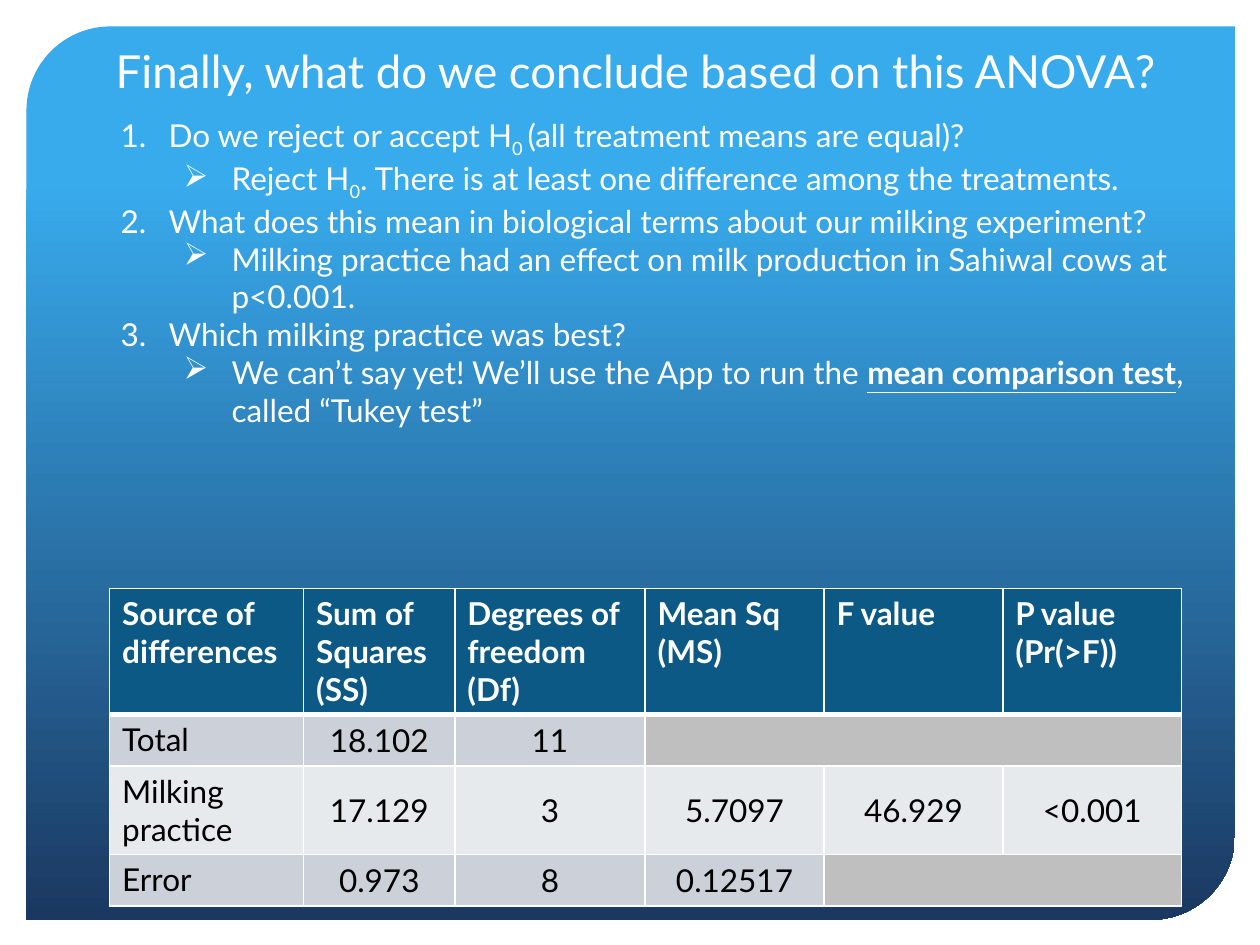
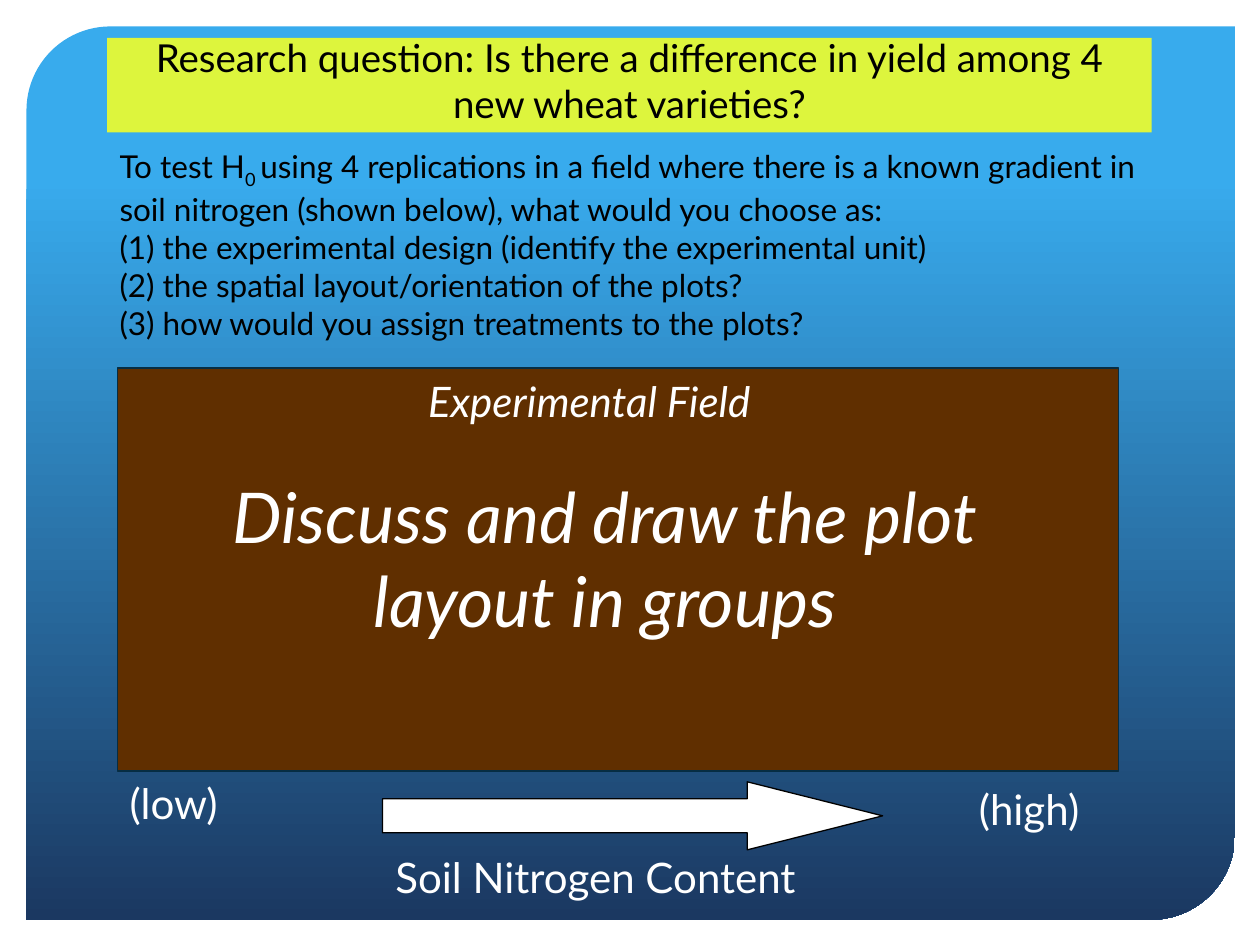
from dataclasses import dataclass
from typing import NamedTuple

from lxml.etree import SubElement
from pptx import Presentation
from pptx.dml.color import RGBColor
from pptx.enum.shapes import MSO_SHAPE
from pptx.enum.text import MSO_ANCHOR, PP_ALIGN
from pptx.oxml.ns import qn
from pptx.util import Emu, Pt

SCALE = 9144


@dataclass(frozen=True)
class Theme:
    font: str = "Lato"
    white: str = "FFFFFF"
    black: str = "000000"
    sky: str = "38ABED"
    navy: str = "1B3861"
    head: str = "0C5986"
    band: str = "CCD1D9"
    pale: str = "E7EAED"
    gray: str = "BFBFBF"
    soil: str = "602F00"
    edge: str = "062D43"
    lime: str = "DDF53D"
    body: int = 18
    banner: int = 22
    label: int = 24
    title: int = 26
    big: int = 40


THEME = Theme()


class Box(NamedTuple):
    left: int
    top: int
    width: int
    height: int


class Run(NamedTuple):
    text: str
    sub: bool = False
    strong: bool = False


class Para(NamedTuple):
    runs: tuple[Run, ...]
    level: int | None = None


class Label(NamedTuple):
    text: str
    box: Box
    size: int = THEME.label
    italic: bool = False
    align: PP_ALIGN = PP_ALIGN.LEFT


class Span(NamedTuple):
    row: int
    first: int
    last: int


def px(value: int) -> Emu:
    return Emu(value * SCALE)


def place(box: Box) -> list[Emu]:
    return [px(value) for value in box]


def para(*parts: str | Run, level: int | None = None) -> Para:
    return Para(tuple(Run(p) if isinstance(p, str) else p for p in parts), level)


def mark(line, level: int) -> None:
    line.level = level
    props = line._p.get_or_add_pPr()
    props.set("marL", str(px(88 if level else 38)))
    props.set("indent", str(px(-38)))
    if level:
        SubElement(props, qn("a:buChar"), char="➢")
    else:
        SubElement(props, qn("a:buAutoNum"), type="arabicPeriod")


def write(frame, paras: list[Para], *, size: int = THEME.body, color: str = THEME.white,
          bold: bool = False, italic: bool = False, align: PP_ALIGN = PP_ALIGN.LEFT,
          anchor: MSO_ANCHOR = MSO_ANCHOR.TOP) -> None:
    frame.word_wrap = True
    frame.vertical_anchor = anchor
    for index, item in enumerate(paras):
        line = frame.add_paragraph() if index else frame.paragraphs[0]
        line.alignment = align
        if item.level is not None:
            mark(line, item.level)
        for part in item.runs:
            run = line.add_run()
            run.text = part.text
            font = run.font
            font.name, font.size = THEME.font, Pt(size)
            font.color.rgb = RGBColor.from_string(color)
            font.bold, font.italic = bold or part.strong, italic
            font.underline = part.strong
            if part.sub:
                font._element.set("baseline", "-25000")


def add_text(slide, box: Box, paras: list[Para], **style) -> None:
    write(slide.shapes.add_textbox(*place(box)).text_frame, paras, **style)


def add_form(slide, kind: MSO_SHAPE, box: Box, fill: str | None = None,
             line: str | None = None, adjust: tuple[float, ...] = ()):
    form = slide.shapes.add_shape(kind, *place(box))
    form.shadow.inherit = False
    for index, value in enumerate(adjust):
        form.adjustments[index] = value
    if fill:
        form.fill.solid()
        form.fill.fore_color.rgb = RGBColor.from_string(fill)
    if line:
        form.line.color.rgb = RGBColor.from_string(line)
        form.line.width = Pt(0.75)
    else:
        form.line.fill.background()
    return form


def add_page(deck):
    slide = deck.slides.add_slide(deck.slide_layouts[6])
    panel = add_form(slide, MSO_SHAPE.ROUND_2_DIAG_RECTANGLE, Box(21, 21, 959, 709),
                     adjust=(0.094, 0))
    panel.fill.gradient()
    panel.fill.gradient_angle = 270
    stops = zip(panel.fill.gradient_stops, (0.17, 1.0), (THEME.sky, THEME.navy))
    for stop, place_at, color in stops:
        stop.position = place_at
        stop.color.rgb = RGBColor.from_string(color)
    return slide


def paint(cell, fill: str, top: int, base: int) -> None:
    props = cell._tc.get_or_add_tcPr()
    for side, width in (("L", 1), ("R", 1), ("T", top), ("B", base)):
        edge = SubElement(props, qn(f"a:ln{side}"), w=str(Pt(width)))
        SubElement(SubElement(edge, qn("a:solidFill")), qn("a:srgbClr"), val=THEME.white)
    cell.fill.solid()
    cell.fill.fore_color.rgb = RGBColor.from_string(fill)


def add_grid(slide, box: Box, widths: list[int], heights: list[int],
             rows: list[list[str]], spans: list[Span]) -> None:
    grid = slide.shapes.add_table(len(rows), len(widths), *place(box)).table
    for column, width in zip(grid.columns, widths):
        column.width = px(width)
    for row, height in zip(grid.rows, heights):
        row.height = px(height)
    blanks = {(s.row, c) for s in spans for c in range(s.first, s.last + 1)}
    for r, row in enumerate(rows):
        for c in range(len(widths)):
            cell = grid.cell(r, c)
            fill = THEME.head if r == 0 else THEME.band if r % 2 else THEME.pale
            paint(cell, THEME.gray if (r, c) in blanks else fill,
                  3 if r == 1 else 1, 3 if r == 0 else 1)
            if (r, c) in blanks:
                continue
            value = r > 0 and c > 0
            cell.vertical_anchor = MSO_ANCHOR.MIDDLE if value else MSO_ANCHOR.TOP
            write(cell.text_frame, [para(text) for text in row[c].split("\n")],
                  color=THEME.black if r else THEME.white, bold=r == 0,
                  align=PP_ALIGN.CENTER if value else PP_ALIGN.LEFT)
    for span in spans:
        grid.cell(span.row, span.first).merge(grid.cell(span.row, span.last))


def draw_anova(deck) -> None:
    slide = add_page(deck)
    add_text(slide, Box(82, 29, 894, 120),
             [para("Finally, what do we conclude based on this ANOVA?")], size=THEME.title)
    add_text(slide, Box(86, 87, 876, 252), [
        para("Do we reject or accept H", Run("0 ", sub=True),
             "(all treatment means are equal)?", level=0),
        para("Reject H", Run("0", sub=True),
             ". There is at least one difference among the treatments.", level=1),
        para("What does this mean in biological terms about our milking experiment?", level=0),
        para("Milking practice had an effect on milk production in Sahiwal cows at p<0.001.",
             level=1),
        para("Which milking practice was best?", level=0),
        para("We can’t say yet! We’ll use the App to run the ",
             Run("mean comparison test", strong=True), ", called “Tukey test”", level=1),
    ])
    rows = [
        ["Source of differences", "Sum of Squares\n(SS)", "Degrees of freedom (Df)",
         "Mean Sq\n(MS)", "F value", "P value\n(Pr(>F))"],
        ["Total", "18.102", "11"],
        ["Milking practice", "17.129", "3", "5.7097", "46.929", "<0.001"],
        ["Error", "0.973", "8", "0.12517"],
    ]
    add_grid(slide, Box(87, 467, 851, 251), [154, 120, 151, 142, 142, 142],
             [100, 41, 70, 41], rows, [Span(1, 3, 5), Span(3, 4, 5)])


def draw_field(deck) -> None:
    slide = add_page(deck)
    add_form(slide, MSO_SHAPE.RECTANGLE, Box(93, 292, 795, 320), THEME.soil, THEME.edge)
    add_text(slide, Box(85, 162, 829, 114), [
        para("To test H", Run("0 ", sub=True),
             "using 4 replications in a field where there is a known gradient in soil "
             "nitrogen (shown below), what would you choose as:"),
        para("(1) the experimental design (identify the experimental unit)"),
        para("(2) the spatial layout/orientation of the plots?"),
        para("(3) how would you assign treatments to the plots?"),
    ], color=THEME.black, anchor=MSO_ANCHOR.BOTTOM)
    arrow = add_form(slide, MSO_SHAPE.UP_ARROW, Box(475, 449, 54, 397),
                     THEME.white, THEME.black, (0.5, 1.99))
    arrow.rotation = 90
    labels = [
        Label("Experimental Field", Box(330, 293, 343, 50), italic=True),
        Label("Soil Nitrogen Content", Box(304, 671, 343, 50)),
        Label("(low)", Box(93, 612, 104, 50)),
        Label("(high)", Box(767, 617, 124, 50)),
        Label("Discuss and draw the plot layout in groups", Box(160, 371, 640, 145),
              THEME.big, True, PP_ALIGN.CENTER),
    ]
    for label in labels:
        add_text(slide, label.box, [para(label.text)], size=label.size,
                 italic=label.italic, align=label.align)
    banner = add_form(slide, MSO_SHAPE.RECTANGLE, Box(85, 30, 829, 75), THEME.lime)
    write(banner.text_frame,
          [para("Research question: Is there a difference in yield among 4 new wheat varieties?")],
          size=THEME.banner, color=THEME.black, align=PP_ALIGN.CENTER,
          anchor=MSO_ANCHOR.BOTTOM)


def main() -> None:
    deck = Presentation()
    deck.slide_width, deck.slide_height = px(1000), px(750)
    draw_anova(deck)
    draw_field(deck)
    deck.save("out.pptx")


if __name__ == "__main__":
    main()
